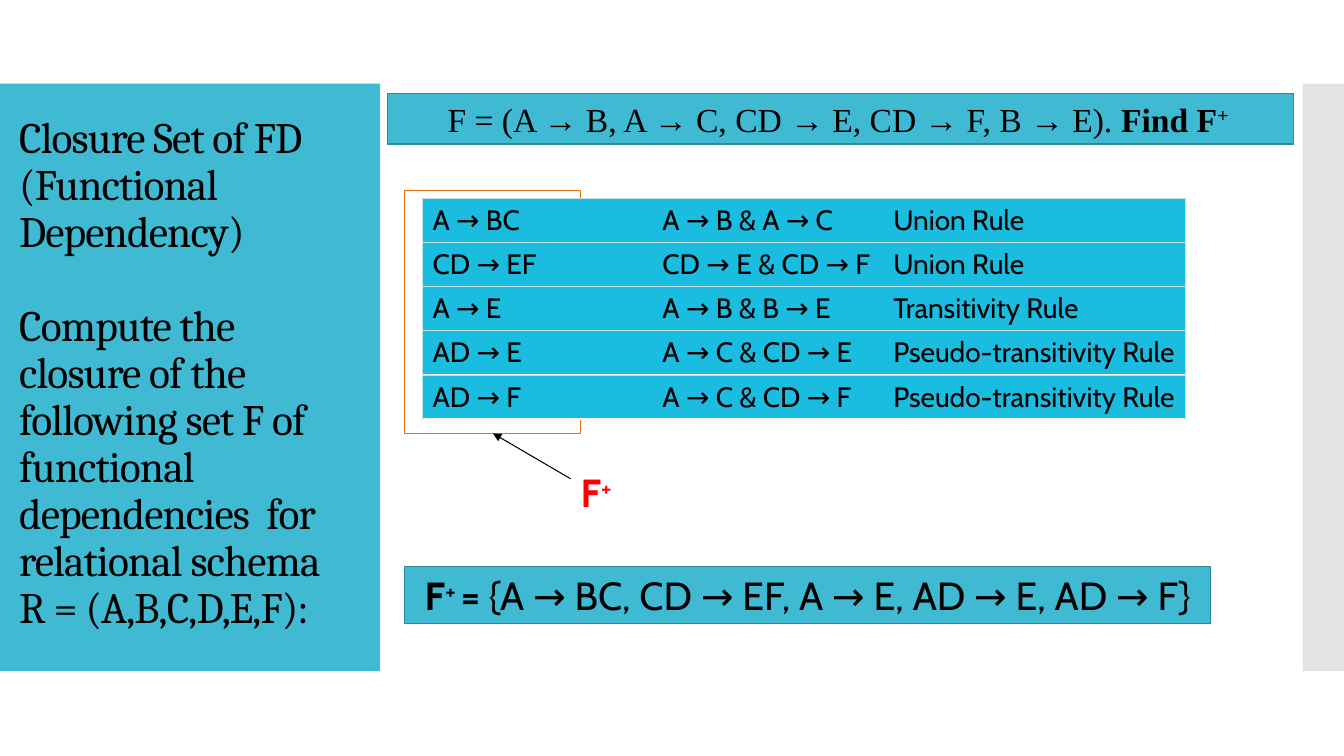
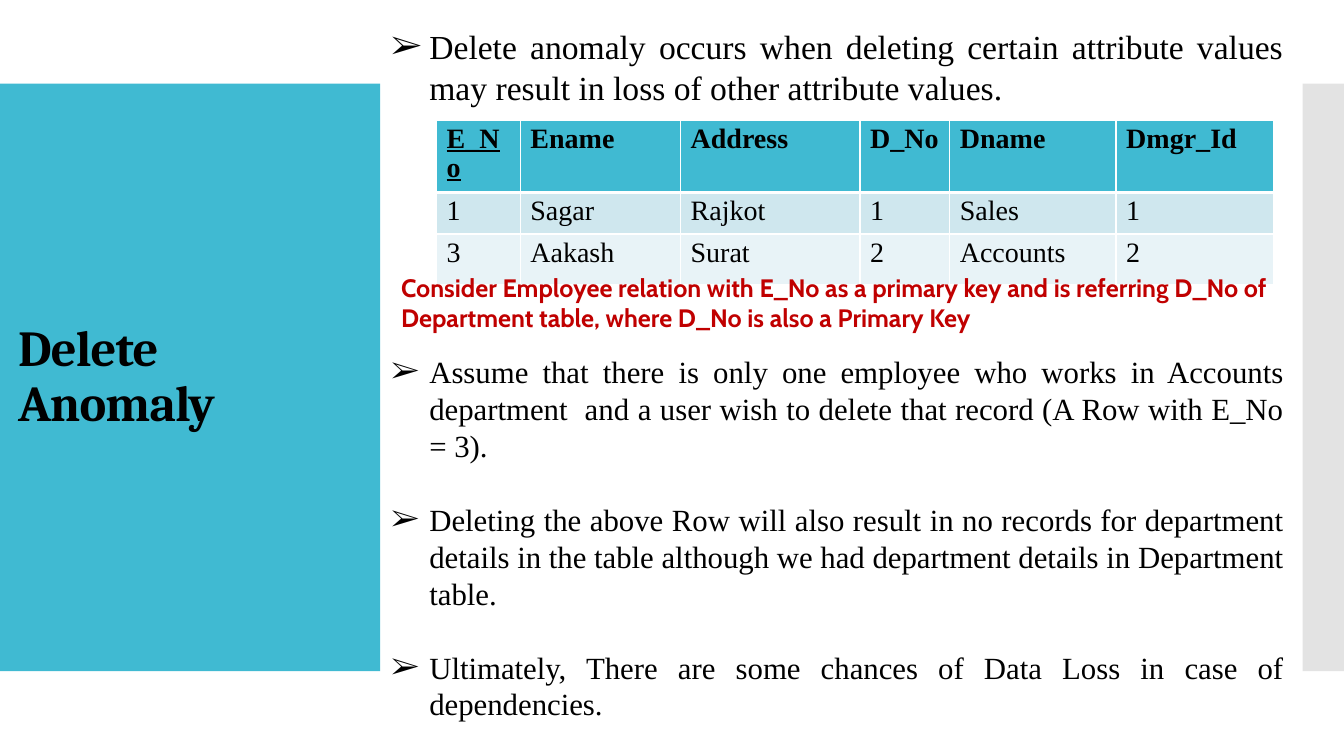
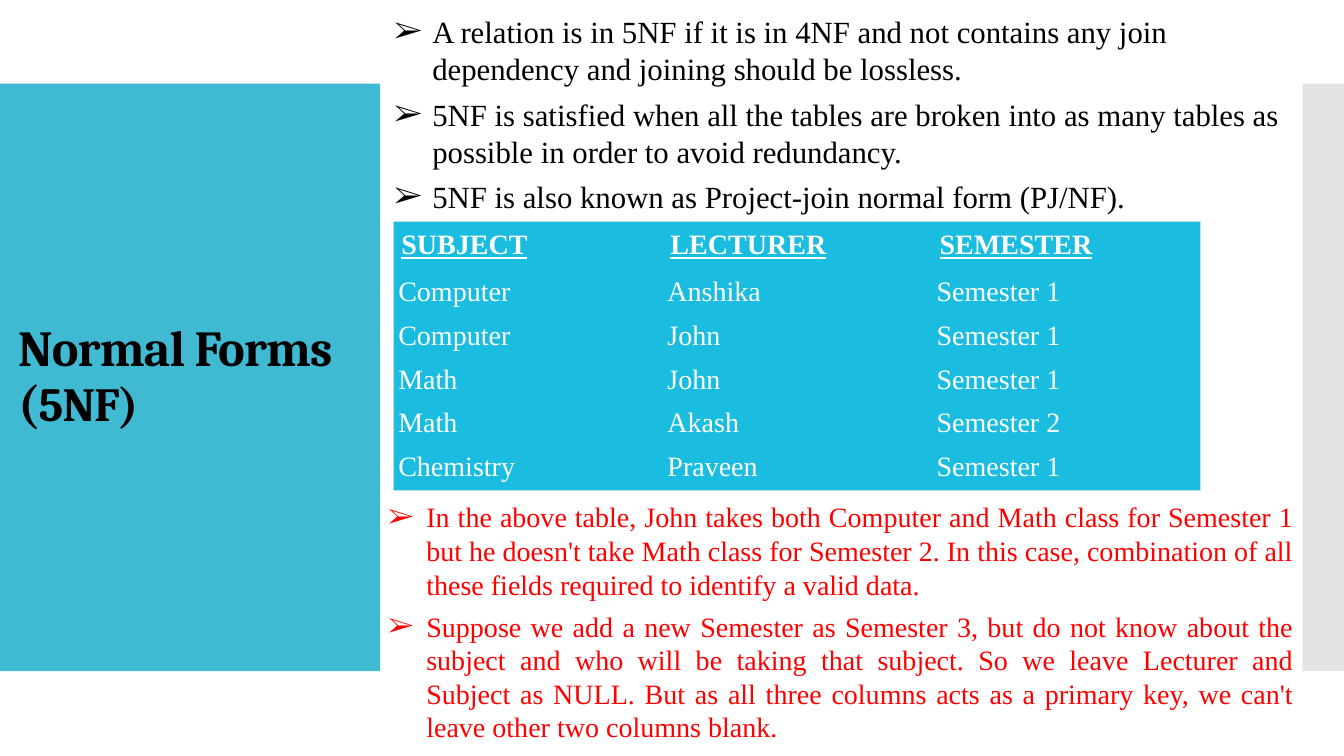
"""Build three database lecture slides on closures, anomalies and normal forms."""
from pptx import Presentation
from pptx.dml.color import RGBColor
from pptx.enum.shapes import MSO_CONNECTOR, MSO_SHAPE
from pptx.enum.text import MSO_ANCHOR, MSO_AUTO_SIZE, PP_ALIGN
from pptx.oxml.ns import qn
from pptx.util import Inches, Pt
from lxml.etree import SubElement

TEAL = RGBColor(0x40, 0xBA, 0xD2)
DEEP = RGBColor(0x2F, 0x8A, 0x9B)
CYAN = RGBColor(0x1A, 0xBD, 0xE0)
PALE = RGBColor(0xC0, 0xE0, 0xEA)
MIST = RGBColor(0xF9, 0xF9, 0xF9)
ICE = RGBColor(0xCF, 0xE7, 0xEE)
SNOW = RGBColor(0xE8, 0xF3, 0xF7)
GREY = RGBColor(0xE3, 0xE3, 0xE3)
ORANGE = RGBColor(0xEE, 0x70, 0x08)
RED = RGBColor(0xFF, 0, 0)
BRICK = RGBColor(0xC0, 0, 0)
BLACK = RGBColor(0, 0, 0)
WHITE = RGBColor(0xFF, 0xFF, 0xFF)
HEAD, BODY, NOTE = "Cambria", "Times New Roman", "Cabin"

WIDE, HIGH = 13.33, 7.5
BAND_TOP, BAND_HIGH = 0.83, 5.83
BANDS = [(0, 3.77, TEAL), (12.92, 0.42, GREY)]
BOLD = {"bold": True}
PLUS = {"bold": True, "base": 30}

CLOSURE = {
    "title": ["Closure Set of FD (Functional Dependency)",
              "Compute the closure of the following set F of functional "
              "dependencies  for relational schema R = (A,B,C,D,E,F):"],
    "task": [[("F = (A → B, A → C, CD → E, CD → F, B → E). ", {}),
              ("Find F", BOLD), ("+", PLUS)]],
    "rules": [("A → BC", "A → B & A → C", "Union Rule"),
              ("CD → EF", "CD → E & CD → F", "Union Rule"),
              ("A → E", "A → B & B → E", "Transitivity Rule"),
              ("AD → E", "A → C & CD → E", "Pseudo-transitivity Rule"),
              ("AD → F", "A → C & CD → F", "Pseudo-transitivity Rule")],
    "label": [[("F", BOLD), ("+", PLUS)]],
    "answer": [[("F", BOLD), ("+ ", PLUS), ("= ", BOLD),
                ("{A → BC, CD → EF, A → E, AD → E, AD → F}", {})]],
}
ANOMALY = {
    "title": ["Delete Anomaly"],
    "intro": ["Delete anomaly occurs when deleting certain attribute values "
              "may result in loss of other attribute values."],
    "staff": [("E_No", "Ename", "Address", "D_No", "Dname", "Dmgr_Id"),
              ("1", "Sagar", "Rajkot", "1", "Sales", "1"),
              ("3", "Aakash", "Surat", "2", "Accounts", "2")],
    "keys": ["Consider Employee relation with E_No as a primary key and is "
             "referring D_No of Department table, where D_No is also a Primary Key"],
    "points": ["Assume that there is only one employee who works in Accounts "
               "department  and a user wish to delete that record (A Row with E_No = 3).",
               "Deleting the above Row will also result in no records for department "
               "details in the table although we had department details in Department table.",
               "Ultimately, There are some chances of Data Loss in case of dependencies."],
}
FORMS = {
    "title": ["Normal Forms", [("(", {}), ("5NF)", {"size": 34})]],
    "points": ["A relation is in 5NF if it is in 4NF and not contains any join "
               "dependency and joining should be lossless.",
               "5NF is satisfied when all the tables are broken into as many tables "
               "as possible in order to avoid redundancy.",
               "5NF is also known as Project-join normal form (PJ/NF)."],
    "classes": [("SUBJECT", "LECTURER", "SEMESTER"),
                ("Computer", "Anshika", "Semester 1"),
                ("Computer", "John", "Semester 1"),
                ("Math", "John", "Semester 1"),
                ("Math", "Akash", "Semester 2"),
                ("Chemistry", "Praveen", "Semester 1")],
    "notes": ["In the above table, John takes both Computer and Math class for "
              "Semester 1 but he doesn't take Math class for Semester 2. In this case, "
              "combination of all these fields required to identify a valid data.",
              "Suppose we add a new Semester as Semester 3, but do not know about the "
              "subject and who will be taking that subject. So we leave Lecturer and "
              "Subject as NULL. But as all three columns acts as a primary key, we "
              "can't leave other two columns blank."],
}


def inch(at):
    return [Inches(n) for n in at]


def write(frame, paras, font=BODY, size=20, color=BLACK, bold=False, under=False,
          align=PP_ALIGN.LEFT, gap=0, line=1, mark=None, left=0, hang=0, track=0):
    for i, para in enumerate(paras):
        p = frame.paragraphs[0] if i == 0 else frame.add_paragraph()
        props = p._p.get_or_add_pPr()
        props.set("marL", str(Inches(left)))
        props.set("indent", str(-Inches(hang)))
        if mark:
            SubElement(props, qn("a:buFont")).set("typeface", font)
            SubElement(props, qn("a:buChar")).set("char", mark)
        p.alignment, p.line_spacing = align, line
        p.space_before = Pt(gap if i else 0)
        for words, own in [(para, {})] if isinstance(para, str) else para:
            run = p.add_run()
            run.text = words
            face = run.font
            face.name, face.size = font, Pt(own.get("size", size))
            face.color.rgb = color
            face.bold, face.underline = own.get("bold", bold), under
            if track:
                face._element.set("spc", str(track))
            if "base" in own:
                face._element.set("baseline", str(own["base"] * 1000))


def text(slide, at, paras, wrap=True, **look):
    frame = slide.shapes.add_textbox(*inch(at)).text_frame
    frame.word_wrap = wrap
    write(frame, paras, **look)


def points(slide, at, paras, **look):
    text(slide, at, paras, mark="➢", left=0.38, hang=0.38, **look)


def panel(slide, at, fill, line=None, width=1, paras=(), **look):
    box = slide.shapes.add_shape(MSO_SHAPE.RECTANGLE, *inch(at))
    box.shadow.inherit = False
    box.fill.solid()
    box.fill.fore_color.rgb = fill
    if line is None:
        box.line.fill.background()
    else:
        box.line.color.rgb, box.line.width = line, Pt(width)
    box.text_frame.vertical_anchor = MSO_ANCHOR.MIDDLE
    write(box.text_frame, paras, **look)
    return box


def edge(cell, side, pen):
    ln = SubElement(cell._tc.get_or_add_tcPr(), qn("a:ln" + side))
    if pen is None:
        SubElement(ln, qn("a:noFill"))
        return
    color, width, share = pen
    ln.set("w", str(Pt(width)))
    tint = SubElement(SubElement(ln, qn("a:solidFill")), qn("a:srgbClr"))
    tint.set("val", str(color))
    if share < 100:
        SubElement(tint, qn("a:alpha")).set("val", str(share * 1000))


def grid(slide, spot, rows, cols, highs, fills, look, rim, rule=None, mesh=None,
         head=None, pad=None):
    size = sum(cols), sum(highs)
    table = slide.shapes.add_table(len(rows), len(cols), *inch(spot + size)).table
    table.first_row = table.horz_banding = False
    for c, wide in enumerate(cols):
        table.columns[c].width = Inches(wide)
    across = [rim, head or rule] + [rule] * (len(rows) - 2) + [rim]
    down = [rim] + [mesh] * (len(cols) - 1) + [rim]
    for r, row in enumerate(rows):
        table.rows[r].height = Inches(highs[r])
        for c, words in enumerate(row):
            cell = table.cell(r, c)
            pens = down[c], down[c + 1], across[r], across[r + 1]
            for side, pen in zip("LRTB", pens):
                edge(cell, side, pen)
            cell.fill.solid()
            cell.fill.fore_color.rgb = fills[r]
            if pad:
                cell.margin_left = cell.margin_right = Inches(pad[r])
                cell.margin_top = cell.margin_bottom = Inches(pad[r])
            write(cell.text_frame, [words], **look(r, c))


def arrow(slide, start, end):
    line = slide.shapes.add_connector(MSO_CONNECTOR.STRAIGHT, *inch(start + end))
    line.line.color.rgb, line.line.width = BLACK, Pt(0.75)
    SubElement(line.line._get_or_add_ln(), qn("a:tailEnd")).set("type", "triangle")
    SubElement(line._element.spPr, qn("a:effectLst"))


def start(deck, paras, at=(0.08, 1.23, 3.6, 5.03), size=36, bold=True, gap=0):
    slide = deck.slides.add_slide(deck.slide_layouts[5])
    title = slide.shapes.title
    title.left, title.top, title.width, title.height = inch(at)
    frame = title.text_frame
    frame.word_wrap, frame.auto_size = True, MSO_AUTO_SIZE.NONE
    frame.vertical_anchor = MSO_ANCHOR.MIDDLE
    write(frame, paras, font=HEAD, size=size, bold=bold, gap=gap, line=0.9, track=-60)
    return slide


def bands(deck, slide):
    tree = deck.slide_layouts[5].shapes._spTree
    for i, (left, wide, fill) in enumerate(BANDS):
        band = panel(slide, (left, BAND_TOP, wide, BAND_HIGH), fill)
        tree.insert(2 + i, band._element)


def closure(deck):
    slide = start(deck, CLOSURE["title"], (0.09, 0.79, 3.22, 5.85), 31, False, 33.5)
    bands(deck, slide)
    panel(slide, (3.84, 0.93, 8.99, 0.5), TEAL, DEEP, 0.85, CLOSURE["task"],
          size=24, left=0.5)
    panel(slide, (4.01, 1.89, 1.75, 2.41), WHITE, ORANGE)
    step = 1.75 / 4
    for i, rule in enumerate(CLOSURE["rules"]):
        grid(slide, (4.19, 1.97 + i * step), [rule], (2.28, 2.29, 3), [0.43], [CYAN],
             lambda r, c: {"font": NOTE}, rim=(PALE, 0.75, 100), rule=(MIST, 1.35, 50))
    panel(slide, (4.01, 5.62, 8, 0.57), TEAL, DEEP, 0.85, CLOSURE["answer"],
          font=NOTE, size=28, align=PP_ALIGN.CENTER)
    arrow(slide, (5.66, 4.75), (4.89, 4.3))
    text(slide, (5.66, 4.6, 0.6, 0.57), CLOSURE["label"], wrap=False,
         font=NOTE, size=28, color=RED)


def anomaly(deck):
    slide = start(deck, ANOMALY["title"])
    points(slide, (3.78, 0.21, 9.05, 1.02), ANOMALY["intro"], size=24,
           align=PP_ALIGN.JUSTIFY)
    thin = WHITE, 1, 100
    grid(slide, (4.33, 1.19), ANOMALY["staff"], (0.83, 1.59, 1.78, 0.89, 1.65, 1.56),
         (0.41, 0.41, 0.5), (TEAL, ICE, SNOW),
         lambda r, c: {"bold": r == 0, "under": r == c == 0, "line": 0.93},
         rim=thin, rule=thin, mesh=thin, head=(WHITE, 3, 100))
    text(slide, (3.88, 2.65, 8.96, 0.71), ANOMALY["keys"], font=NOTE, size=18,
         color=BRICK, bold=True)
    points(slide, (3.78, 3.45, 9.05, 3.8), ANOMALY["points"], size=22, gap=26.4,
           align=PP_ALIGN.JUSTIFY)


def forms(deck):
    slide = start(deck, FORMS["title"])
    points(slide, (3.81, 0.08, 9.04, 2.14), FORMS["points"], size=22, gap=6)
    grid(slide, (3.9, 2.2), FORMS["classes"], [2.67] * 3, [0.48] + [0.43] * 5, [CYAN] * 6,
         lambda r, c: {"color": WHITE, "bold": r == 0, "under": r == 0},
         rim=(PALE, 0.75, 100), pad=[0.08] + [0.05] * 5)
    points(slide, (3.75, 4.91, 9.18, 2.54), FORMS["notes"], color=RED, gap=6,
           align=PP_ALIGN.JUSTIFY)


def main():
    deck = Presentation()
    deck.slide_width, deck.slide_height = inch((WIDE, HIGH))
    for build in (closure, anomaly, forms):
        build(deck)
    deck.save("out.pptx")


if __name__ == "__main__":
    main()
